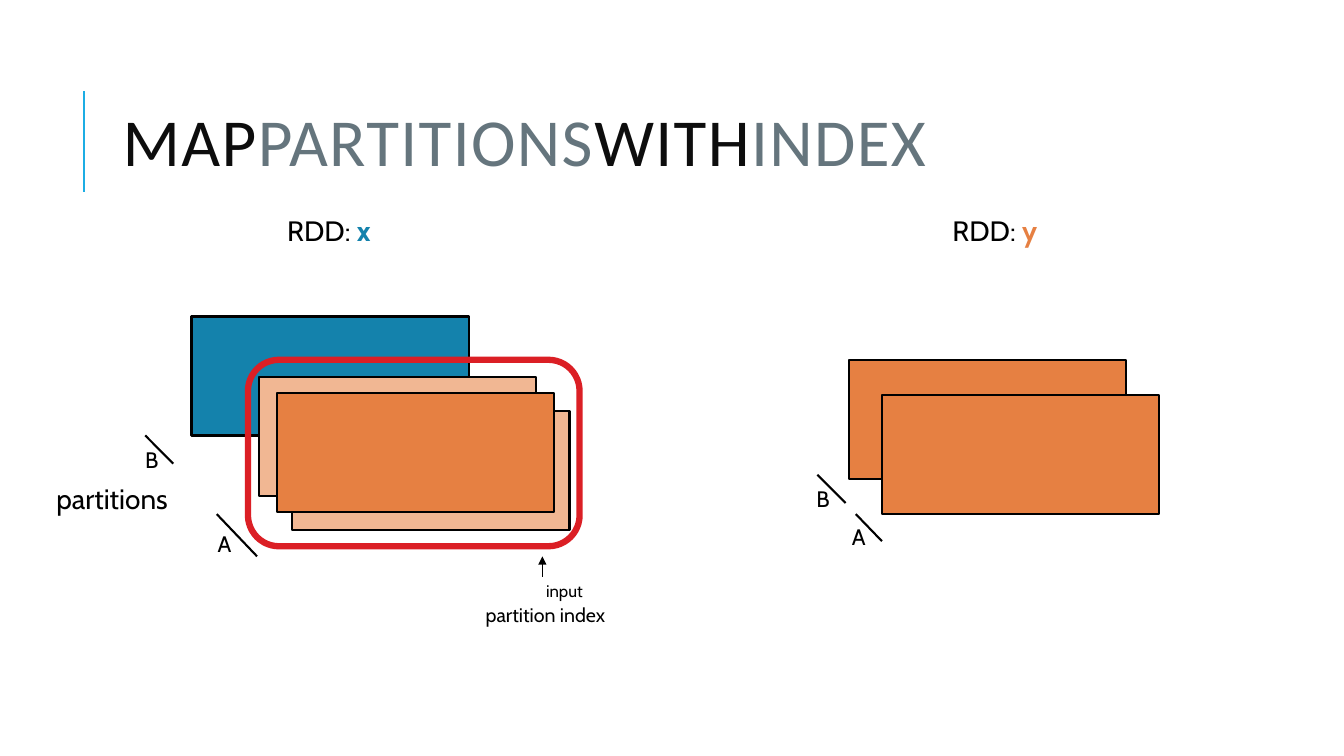
"""Draw the mapPartitionsWithIndex slide: RDD x, RDD y and their partitions."""
from lxml.etree import SubElement
from pptx import Presentation
from pptx.dml.color import RGBColor
from pptx.enum.shapes import MSO_CONNECTOR, MSO_SHAPE
from pptx.enum.text import MSO_ANCHOR, MSO_AUTO_SIZE
from pptx.oxml.ns import qn
from pptx.util import Pt

COLORS = {
    "black": "000000",
    "title_dark": "0D0D0D",
    "title_grey": "65757D",
    "accent": "1CADE4",
    "blue": "1482AC",
    "orange": "E68042",
    "light_orange": "F1B793",
    "red": "DB1F25",
}
PARTITION_SIZE = (198, 85)


def color(name):
    """Return the named colour."""
    return RGBColor.from_string(COLORS[name])


def add_run(paragraph, text, size, color_name, font="Cabin", bold=False):
    """Append one styled run and return it."""
    run = paragraph.add_run()
    run.text = text
    run.font.name = font
    run.font.size = Pt(size)
    run.font.bold = bold
    run.font.color.rgb = color(color_name)
    return run


def add_label(slide, left, top, width, height, size, *parts):
    """Add a text box whose parts are (text, colour, bold)."""
    shape = slide.shapes.add_textbox(Pt(left), Pt(top), Pt(width), Pt(height))
    frame = shape.text_frame
    frame.word_wrap = True
    frame.auto_size = MSO_AUTO_SIZE.SHAPE_TO_FIT_TEXT
    for text, color_name, bold in parts:
        add_run(frame.paragraphs[0], text, size, color_name, bold=bold)


def add_title(slide):
    """Add the title with alternating word colours."""
    shape = slide.shapes.add_textbox(Pt(80.6), Pt(46.1), Pt(765.4), Pt(118.1))
    frame = shape.text_frame
    frame.word_wrap = True
    frame.vertical_anchor = MSO_ANCHOR.MIDDLE
    paragraph = frame.paragraphs[0]
    paragraph.line_spacing = 0.8
    for index, word in enumerate(("MAP", "PARTITIONS", "WITH", "INDEX")):
        color_name = "title_grey" if index % 2 else "title_dark"
        run = add_run(paragraph, word, 48, color_name, "Calibri")
        run.font._element.set("spc", "100")


def add_box(slide, kind, left, top, size, line_name, line_width, fill_name=None):
    """Add an outlined box, filled when a fill is named."""
    shape = slide.shapes.add_shape(kind, Pt(left), Pt(top), *map(Pt, size))
    shape.shadow.inherit = False
    if fill_name:
        shape.fill.solid()
        shape.fill.fore_color.rgb = color(fill_name)
    else:
        shape.fill.background()
    shape.line.color.rgb = color(line_name)
    shape.line.width = Pt(line_width)


def add_partition(slide, left, top, fill_name):
    """Add one partition rectangle."""
    add_box(slide, MSO_SHAPE.RECTANGLE, left, top, PARTITION_SIZE, "black", 1.5, fill_name)


def add_line(slide, start, end, color_name="black", width=1.5, arrow=False):
    """Add a straight line, with an arrowhead at its end if asked."""
    line = slide.shapes.add_connector(MSO_CONNECTOR.STRAIGHT, *map(Pt, start + end))
    line.line.color.rgb = color(color_name)
    line.line.width = Pt(width)
    if arrow:
        SubElement(line.line._get_or_add_ln(), qn("a:tailEnd"), type="triangle")
    SubElement(line._element.spPr, qn("a:effectLst"))


def main():
    """Build and save the slide."""
    presentation = Presentation()
    presentation.slide_width = Pt(960)
    presentation.slide_height = Pt(540)
    slide = presentation.slides.add_slide(presentation.slide_layouts[6])

    add_line(slide, (60, 136.8), (60, 64.8), "accent")
    add_title(slide)
    for left, name, color_name in ((198, "x", "blue"), (673.2, "y", "orange")):
        add_label(slide, left, 149, 111.6, 31.7, 20,
                  ("RDD: ", "black", False), (name, color_name, True))

    add_partition(slide, 136.8, 226.1, "blue")
    add_box(slide, MSO_SHAPE.ROUNDED_RECTANGLE, 177.1, 257, (236.9, 133.2), "red", 4.5)
    for left, top, fill_name in (
        (208.8, 293.8, "light_orange"),
        (185, 269.3, "light_orange"),
        (198, 280.8, "orange"),
        (606.2, 257, "orange"),
        (630, 282.2, "orange"),
    ):
        add_partition(slide, left, top, fill_name)

    for start, end in (
        ((154.8, 367.2), (183.6, 397.4)),
        ((103.7, 311), (123.8, 331.2)),
        ((611.3, 367.2), (630, 386.6)),
        ((583.9, 339.1), (604.1, 359.3)),
    ):
        add_line(slide, start, end)
    add_line(slide, (387.4, 411.8), (387.4, 397.4), width=1, arrow=True)

    for text, left, top, width, height, size in (
        ("partitions", 33.1, 340.6, 116.6, 31.7, 20),
        ("A", 148.3, 375.1, 15.1, 26.6, 16),
        ("B", 96.5, 315.4, 15.1, 26.6, 16),
        ("A", 602.6, 370.1, 13, 26.6, 16),
        ("B", 576, 342.7, 15.1, 26.6, 16),
        ("input", 383, 411.1, 62.6, 21.6, 12),
        ("partition index", 339.8, 427, 135.4, 24.5, 14),
    ):
        add_label(slide, left, top, width, height, size, (text, "black", False))

    presentation.save("out.pptx")


if __name__ == "__main__":
    main()
